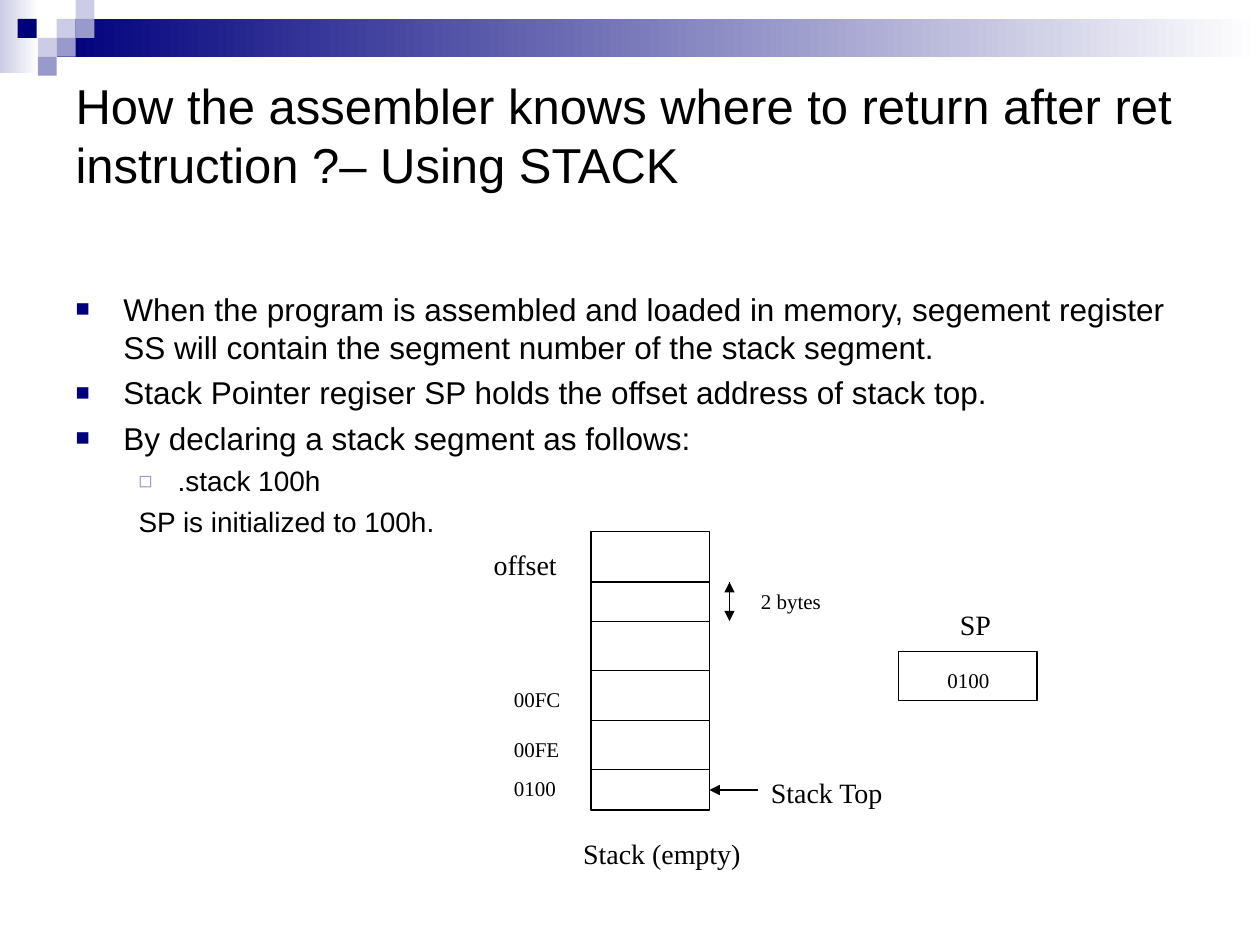
from lxml import etree
from pptx import Presentation
from pptx.dml.color import RGBColor
from pptx.enum.dml import MSO_THEME_COLOR
from pptx.enum.shapes import MSO_CONNECTOR, MSO_SHAPE
from pptx.enum.text import MSO_ANCHOR, MSO_AUTO_SIZE, PP_ALIGN
from pptx.oxml.ns import qn
from pptx.util import Inches, Pt

BLACK = RGBColor(0x00, 0x00, 0x00)
WHITE = RGBColor(0xFF, 0xFF, 0xFF)
NAVY = RGBColor(0x00, 0x00, 0x7D)
LAVENDER = RGBColor(0x99, 0x99, 0xCC)
PALE = RGBColor(0xCC, 0xCC, 0xE6)


def add_box(left, top, width, height):
    box = slide.shapes.add_shape(
        MSO_SHAPE.RECTANGLE, Inches(left), Inches(top), Inches(width), Inches(height))
    box.shadow.inherit = False
    box.fill.background()
    box.line.fill.background()
    return box


def add_line(x1, y1, x2, y2, arrow=False):
    line = slide.shapes.add_connector(
        MSO_CONNECTOR.STRAIGHT, Inches(x1), Inches(y1), Inches(x2), Inches(y2))
    line.line.color.rgb = BLACK
    line.line.width = Pt(0.75)
    if arrow:
        etree.SubElement(line.line._get_or_add_ln(), qn("a:tailEnd"), type="triangle")
    etree.SubElement(line._element.spPr, qn("a:effectLst"))


prs = Presentation()
prs.slide_width = Inches(10)
prs.slide_height = Inches(7.5)
slide = prs.slides.add_slide(prs.slide_layouts[1])
title, body = slide.placeholders

for left, top, width, height, start in [
    (0, 0, 0.31, 0.58, PALE),
    (0.45, 0.15, 9.55, 0.3, NAVY),
]:
    band = add_box(left, top, width, height)
    band.fill.gradient()
    band.fill.gradient_angle = 0
    for stop, color, position in zip(band.fill.gradient_stops, (start, WHITE), (0, 1)):
        stop.color.rgb = color
        stop.position = position

for left, top, color in [
    (0.45, 0.15, PALE),
    (0.6, 0, PALE),
    (0.6, 0.15, LAVENDER),
    (0.3, 0.3, PALE),
    (0.14, 0.15, NAVY),
    (0.45, 0.3, LAVENDER),
    (0.3, 0.45, LAVENDER),
]:
    tile = add_box(left, top, 0.15, 0.15)
    tile.fill.solid()
    tile.fill.fore_color.rgb = color

for holder, top, height, anchor in [
    (title, 0.5, 1.13, MSO_ANCHOR.MIDDLE),
    (body, 2.25, 4.28, MSO_ANCHOR.TOP),
]:
    slide.shapes._spTree.append(holder._element)
    holder.left, holder.top = Inches(0.5), Inches(top)
    holder.width, holder.height = Inches(9), Inches(height)
    holder.text_frame.auto_size = MSO_AUTO_SIZE.NONE
    holder.text_frame.vertical_anchor = anchor

title.text_frame.text = (
    "How the assembler knows where to return after ret instruction ?– Using STACK")
heading = title.text_frame.paragraphs[0]
heading.alignment = PP_ALIGN.LEFT
heading.font.size = Pt(28)
heading.font.name = "Arial"
heading.font.color.rgb = BLACK

points = [
    ("When the program is assembled and loaded in memory, segement register "
     "SS will contain the segment number of the stack segment.", 0, "■"),
    ("Stack Pointer regiser SP holds the offset address of stack top.", 0, "■"),
    ("By declaring a stack segment as follows:", 0, "■"),
    (".stack 100h", 1, "◻"),
    ("SP is initialized to 100h.", 1, None),
]
level_styles = [(18, 4.5, 0.38, -0.38, NAVY, 75), (16, 4, 0.81, -0.31, LAVENDER, 80)]
body.text_frame.text = "\n".join(text for text, level, bullet in points)
for point, (text, level, bullet) in zip(body.text_frame.paragraphs, points):
    size, before, margin, indent, color, percent = level_styles[level]
    point.level = level
    point.space_before = Pt(before)
    point.font.size = Pt(size)
    point.font.name = "Arial"
    point.font.color.rgb = BLACK
    pPr = point._p.get_or_add_pPr()
    pPr.set("marL", str(Inches(margin)))
    pPr.set("indent", str(Inches(indent if bullet else level * 0.5 - margin)))
    marks = []
    if bullet:
        bullet_color = etree.Element(qn("a:buClr"))
        etree.SubElement(bullet_color, qn("a:srgbClr"), val=str(color))
        marks = [
            bullet_color,
            etree.Element(qn("a:buSzPct"), val=str(percent * 1000)),
            etree.Element(qn("a:buFont"), typeface="Arial"),
            etree.Element(qn("a:buChar"), char=bullet),
        ]
    else:
        marks = [etree.Element(qn("a:buNone"))]
    pPr.find(qn("a:spcBef")).addnext(marks[0])
    for previous, mark in zip(marks, marks[1:]):
        previous.addnext(mark)

for left, top, width, height in [(4.69, 4.22, 0.94, 2.21), (7.13, 5.17, 1.1, 0.39)]:
    frame = add_box(left, top, width, height)
    frame.line.color.rgb = BLACK
    frame.line.width = Pt(0.75)

for row_top in (4.62, 4.93, 5.32, 5.72, 6.11):
    add_line(4.69, row_top, 5.63, row_top)

add_line(5.79, 4.62, 5.79, 4.93, arrow=True)
add_line(5.79, 4.85, 5.79, 4.62, arrow=True)
add_line(6.02, 6.27, 5.63, 6.27, arrow=True)

for text, left, top, width, size in [
    ("0100", 3.98, 6.11, 0.55, 12),
    ("00FE", 3.98, 5.8, 0.71, 12),
    ("00FC", 3.98, 5.4, 0.63, 12),
    ("2 bytes", 5.94, 4.62, 1.18, 12),
    ("Stack (empty)", 4.53, 6.59, 1.5, 16),
    ("Stack Top", 6.02, 6.11, 1.81, 16),
    ("offset", 3.82, 4.3, 0.86, 16),
    ("0100", 7.42, 5.25, 0.81, 12),
    ("SP", 7.52, 4.77, 0.63, 16),
]:
    label = slide.shapes.add_textbox(
        Inches(left), Inches(top), Inches(width), Inches(0.3 if size == 12 else 0.37))
    label.text_frame.word_wrap = True
    label.text_frame.auto_size = MSO_AUTO_SIZE.SHAPE_TO_FIT_TEXT
    label.text_frame.text = text
    caption = label.text_frame.paragraphs[0]
    caption.space_before = Pt(size * 0.625)
    caption.font.size = Pt(size)
    caption.font.name = "Times New Roman"
    caption.font.color.rgb = BLACK

prs.save("out.pptx")
